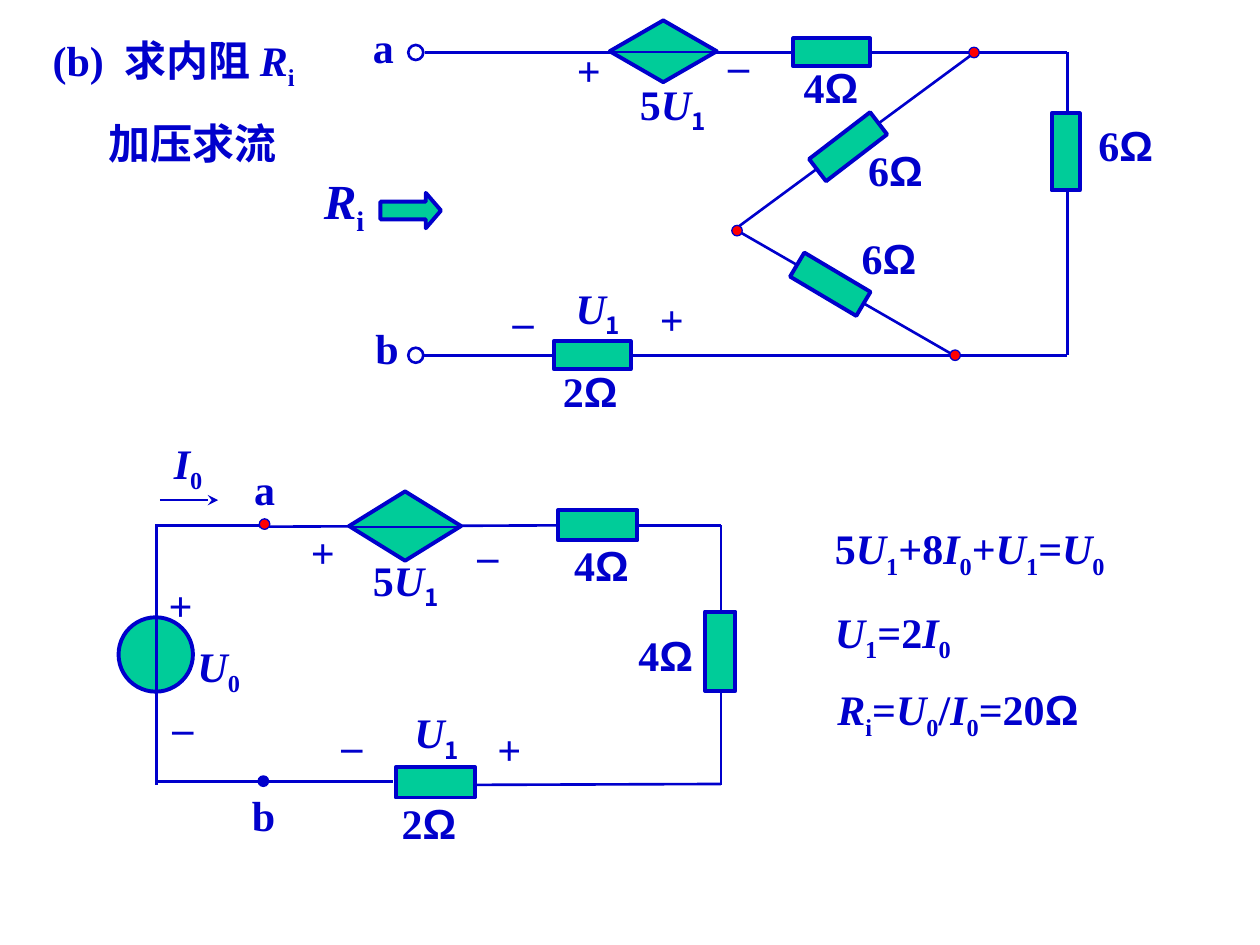
import pptx
import pptx.dml.color
import pptx.enum.shapes
import pptx.enum.text
import pptx.util
from dataclasses import dataclass
from lxml import etree
from pptx.oxml.ns import qn
from typing import Any

Pt = pptx.util.Pt
SHAPES = pptx.enum.shapes.MSO_SHAPE
BLUE, GREEN, RED = "0000CC", "00CC99", "FF0000"
SERIF, SYMBOL, CJK = "Times New Roman", "Arial", "Noto Sans CJK SC"


def color(hex_value):
    return pptx.dml.color.RGBColor.from_string(hex_value)


def add_runs(paragraph, markup, subscript_font):
    """Split markup at "|": "_x" is a subscript, a capital letter is italic."""
    for piece in markup.split("|"):
        run = paragraph.add_run()
        run.text = piece.removeprefix("_")
        properties = run.font
        if piece.startswith("_"):
            run._r.get_or_add_rPr().set("baseline", "-25000")
            if subscript_font != SERIF:
                properties.name = subscript_font
        elif piece == "Ω":
            properties.name = SYMBOL
        elif piece.isupper():
            properties.italic = True
        elif any(ord(character) > 0x3000 for character in piece):
            etree.SubElement(run._r.get_or_add_rPr(), qn("a:ea"), typeface=CJK)


@dataclass
class Region:
    """Draws circuit elements relative to a left top corner, in points."""
    slide: Any
    left: float
    top: float

    def add_text(self, left, top, width, height, *lines, size=24,
                 subscript_font=SERIF, indents=(), tab=None):
        box = self.slide.shapes.add_textbox(
            Pt(self.left + left), Pt(self.top + top), Pt(width), Pt(height))
        frame = box.text_frame
        frame.word_wrap = True
        frame.vertical_anchor = pptx.enum.text.MSO_ANCHOR.MIDDLE
        for index, line in enumerate(lines):
            paragraph = frame.paragraphs[0] if index == 0 else frame.add_paragraph()
            properties = paragraph._p.get_or_add_pPr()
            if indents:
                properties.set("marL", str(Pt(indents[index])))
            if tab and "\t" in line:
                tabs = etree.SubElement(properties, qn("a:tabLst"))
                etree.SubElement(tabs, qn("a:tab"), pos=str(Pt(tab)), algn="l")
            if index:
                paragraph.space_before = Pt(15)
            font = paragraph.font
            font.name, font.size, font.bold = SERIF, Pt(size), True
            font.color.rgb = color(BLUE)
            add_runs(paragraph, line, subscript_font)

    def add_labels(self, *items, subscript_font=CJK):
        for markup, left, top, width in items:
            height = 40 if "_" in markup else 36
            self.add_text(left, top, width, height, markup, subscript_font=subscript_font)

    def add_signs(self, plus, minus):
        self.add_labels(*[("+", x, y, 28) for x, y in plus],
                        *[("–", x, y, 26) for x, y in minus])

    def add_symbol(self, kind, x, y, width, height, fill=GREEN, line=2.25, rotation=0):
        """Add a shape centred at x, y."""
        shape = self.slide.shapes.add_shape(
            kind, Pt(self.left + x - width / 2), Pt(self.top + y - height / 2),
            Pt(width), Pt(height))
        shape.shadow.inherit = False
        shape.rotation = rotation
        if fill:
            shape.fill.solid()
            shape.fill.fore_color.rgb = color(fill)
        else:
            shape.fill.background()
        shape.line.color.rgb = color(BLUE)
        shape.line.width = Pt(line)
        return shape

    def add_dot(self, x, y, fill=RED):
        self.add_symbol(SHAPES.OVAL, x, y, 6, 6, fill, 0.75)

    def add_wire(self, x1, y1, x2, y2, arrow=False):
        connector = self.slide.shapes.add_connector(
            pptx.enum.shapes.MSO_CONNECTOR.STRAIGHT,
            Pt(self.left + x1), Pt(self.top + y1), Pt(self.left + x2), Pt(self.top + y2))
        connector.line.color.rgb = color(BLUE)
        connector.line.width = Pt(1.5)
        if arrow:
            etree.SubElement(connector.line._get_or_add_ln(), qn("a:tailEnd"), type="stealth")
        etree.SubElement(connector._element.spPr, qn("a:effectLst"))

    def add_wires(self, *wires):
        for ends in wires:
            self.add_wire(*ends)

    def add_controlled_source(self, x, y, width, height):
        self.add_symbol(SHAPES.DIAMOND, x, y, width, height)
        self.add_wire(x - width / 2, y + 0.5, x + width / 2, y + 0.5)


def add_heading(slide, left, top):
    region = Region(slide, left, top)
    region.add_text(0, 0, 190, 84, "(b)\t|求内阻| |R|_i", "加压求流", indents=(0, 32), tab=41)
    region.add_text(155, 78, 58, 45, "R|_i", size=28)
    arrow = region.add_symbol(SHAPES.RIGHT_ARROW, 211.7, 104.5, 34.6, 20.2)
    arrow.adjustments[1] = 0.43


def add_bridge_circuit(slide, left, top):
    region = Region(slide, left, top)
    upper, lower, right = 22, 195, 406
    region.add_wires(
        (38.6, upper, 146, upper), (204, upper, 248, upper),
        (291.4, upper, right, upper), (right, upper, right, 57.5),
        (right, 100.7, right, lower), (38, lower, 113, lower),
        (155, lower, right, lower),
        (353, upper, 216, 123), (216, 123, 341, lower))
    region.add_controlled_source(175, 21.3, 61.2, 35.3)
    for x, y, rotation in ((271.2, upper, 90), (134.4, lower, 90), (405, 78.8, 0),
                           (280.6, 75.9, 52.5), (270.5, 154.4, 300.7)):
        region.add_symbol(SHAPES.RECTANGLE, x, y, 16, 44, rotation=rotation)
    for x, y in ((341.8, lower), (352.6, upper), (217.2, 123.8)):
        region.add_dot(x, y)
    for y in (upper, lower):
        region.add_symbol(SHAPES.OVAL, 33.6, y, 8.6, 8.6, None, 1.5)
    region.add_labels(
        ("a", 2, 0.6, 26), ("b", 3.4, 172.7, 27),
        ("2|Ω", 110.6, 197.2, 52), ("4|Ω", 248.2, 23.7, 55),
        ("6|Ω", 285, 71.2, 53), ("6|Ω", 281.3, 121, 56), ("6|Ω", 416.6, 56.8, 60),
        ("5|U|_1", 154.6, 33, 56), ("U|_1", 117.8, 149.7, 43))
    region.add_signs(plus=((118.6, 13.6), (166, 156.2)),
                     minus=((205, 10.7), (81.8, 157)))


def add_reduced_circuit(slide, left, top):
    region = Region(slide, left, top)
    upper, lower, west, east = 54.2, 200.4, 21.3, 344
    region.add_wires(
        (85.4, upper, west, upper), (80.3, 55, 251.7, upper),
        (296.3, upper, east, upper), (east, 202.5, east, upper),
        (82, lower, west, lower), (80.3, lower, 156.6, lower),
        (204.2, 202.5, east, 202))
    region.add_controlled_source(163.5, 54.6, 64, 39.6)
    for x, y, rotation in ((273.6, upper, 0), (343.5, 126.2, 90), (180.8, 201.1, 0)):
        region.add_symbol(SHAPES.RECTANGLE, x, y, 45.4, 17.3, rotation=rotation)
    region.add_symbol(SHAPES.OVAL, 21, 128, 42.5, 42.5)
    region.add_wire(west, 53.5, west, 202.5)
    region.add_dot(83.2, 53.5)
    region.add_dot(82.5, lower, BLUE)
    region.add_wire(23.4, 39.8, 56.6, 39.8, arrow=True)
    region.add_labels(
        ("a", 70.2, 15.4, 26), ("b", 68.8, 201.8, 27),
        ("2|Ω", 154.5, 206.2, 53), ("4|Ω", 253, 58.6, 56), ("4|Ω", 289.8, 110.4, 55),
        ("5|U|_1", 138, 67.2, 78), ("U|_1", 161.7, 154.3, 44))
    region.add_labels(("U|_0", 37.8, 116.2, 42), ("I|_0", 24.2, 0.2, 34),
                      subscript_font=SERIF)
    region.add_signs(plus=((102.6, 51.4), (209.2, 163.7), (21.3, 81.6)),
                     minus=((197.7, 52.8), (120, 161.5), (23.4, 151.4)))


def add_equations(slide, left, top):
    region = Region(slide, left, top)
    region.add_text(0, 0, 172, 88, "5|U|_1|+8|I|_0|+|U|_1|=|U|_0", "U|_1|=2|I|_0")
    region.add_text(1.5, 92, 158, 40, "R|_i|=|U|_0|/|I|_0|=20|Ω")


def main():
    presentation = pptx.Presentation()
    presentation.slide_width, presentation.slide_height = Pt(720), Pt(540)
    slide = presentation.slides.add_slide(presentation.slide_layouts[6])
    add_heading(slide, 23, 15.8)
    add_bridge_circuit(slide, 204, 8)
    add_reduced_circuit(slide, 68, 246)
    add_equations(slide, 470, 295)
    presentation.save("out.pptx")


if __name__ == "__main__":
    main()
